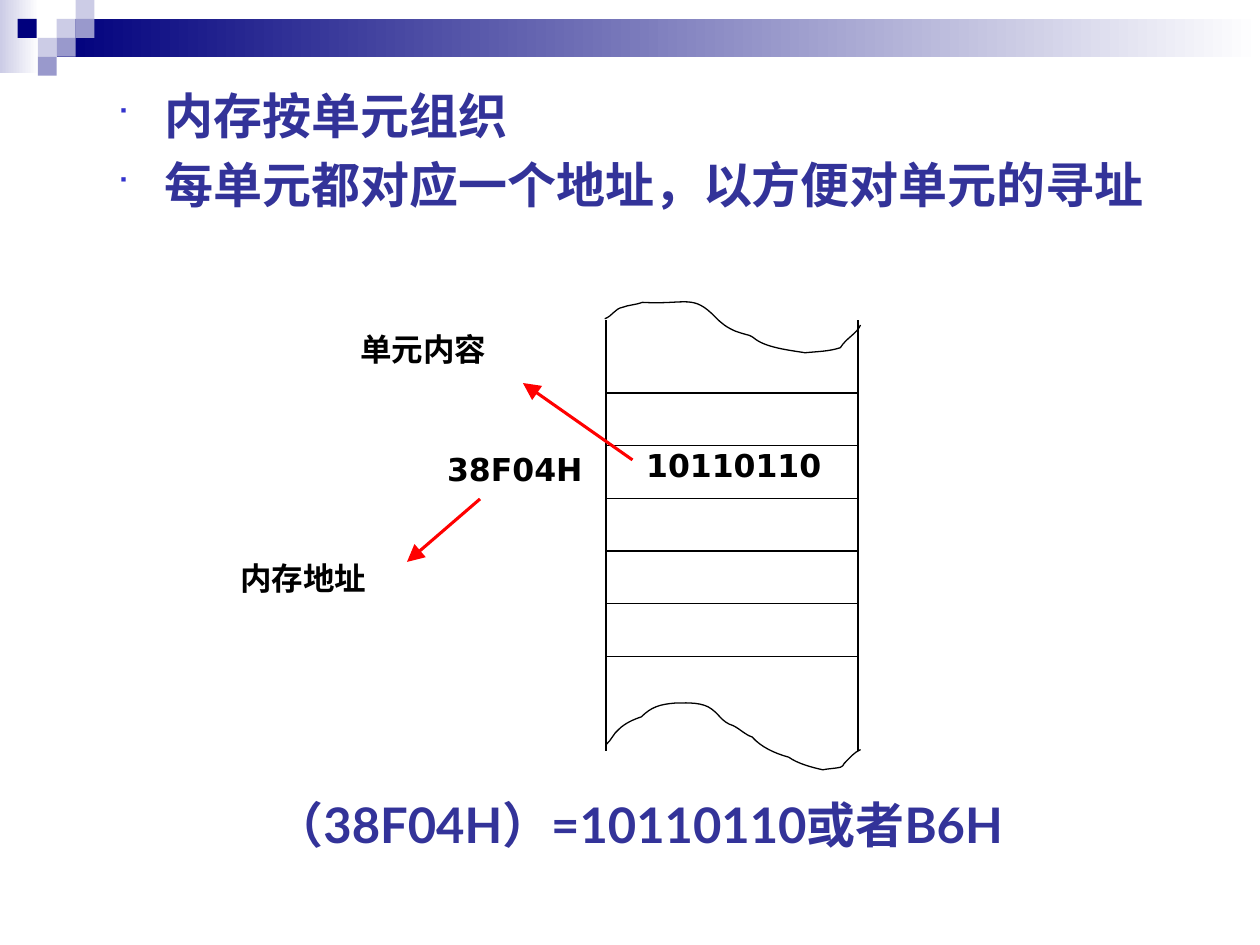
import pptx
import pptx.util
import pptx.dml.color
import pptx.enum.shapes
import pptx.oxml
import pptx.oxml.ns

Inches = pptx.util.Inches
Pt = pptx.util.Pt
COLORS = {
    "navy": "00007D", "lilac": "CCCCE6", "violet": "9999CC", "white": "FFFFFF",
    "title": "333399", "bullet": "3333CC", "ink": "000000", "arrow": "FF0000",
}


def rgb(name):
    return pptx.dml.color.RGBColor.from_string(COLORS[name])


def element(xml):
    return pptx.oxml.parse_xml(xml.replace(" ", " " + pptx.oxml.ns.nsdecls("a") + " ", 1))


class SlideBuilder:
    def __init__(self, page):
        self.page = page
        self.line_width = 0.75

    def rect(self, left, top, width, height, fill=None, gradient=None, line=None):
        box = self.page.shapes.add_shape(
            pptx.enum.shapes.MSO_SHAPE.RECTANGLE,
            Inches(left), Inches(top), Inches(width), Inches(height))
        if gradient:
            box.fill.gradient()
            box.fill.gradient_angle = 0
            for stop, name in zip(box.fill.gradient_stops, gradient):
                stop.color.rgb = rgb(name)
        elif fill:
            box.fill.solid()
            box.fill.fore_color.rgb = rgb(fill)
        else:
            box.fill.background()
        self.outline(box, line)

    def outline(self, box, line):
        box.shadow.inherit = False
        if line:
            box.line.color.rgb = rgb(line)
            box.line.width = Pt(self.line_width)
        else:
            box.line.fill.background()

    def line(self, start, end, color="ink", width=None, arrow=False):
        connector = self.page.shapes.add_connector(
            pptx.enum.shapes.MSO_CONNECTOR.STRAIGHT,
            *(Inches(value) for value in start + end))
        connector.line.color.rgb = rgb(color)
        connector.line.width = Pt(width or self.line_width)
        if arrow:
            connector.line._get_or_add_ln().append(
                element('<a:tailEnd type="triangle" w="lg" len="lg"/>'))
        connector._element.spPr.append(element("<a:effectLst />"))

    def curve(self, start, segments):
        builder = self.page.shapes.build_freeform(Inches(start[0]), Inches(start[1]))
        builder.add_line_segments(
            [(Inches(x), Inches(y)) for *_, x, y in segments], close=False)
        box = builder.convert_to_shape()
        straight = box._element.findall(".//" + pptx.oxml.ns.qn("a:lnTo"))
        for piece, segment in zip(straight, segments):
            points = "".join(
                f'<a:pt x="{Inches(x) - box.left}" y="{Inches(y) - box.top}"/>'
                for x, y in zip(segment[::2], segment[1::2]))
            piece.getparent().replace(
                piece, element(f"<a:cubicBezTo >{points}</a:cubicBezTo>"))
        box.fill.background()
        self.outline(box, "ink")

    def text(self, text, left, top, width, height, size=18, font="DejaVu Sans",
             color="ink", bullet=False, wrap=True):
        box = self.page.shapes.add_textbox(
            Inches(left), Inches(top), Inches(width), Inches(height))
        frame = box.text_frame
        frame.word_wrap = wrap
        for index, words in enumerate(text.split("\n")):
            para = frame.paragraphs[0] if index == 0 else frame.add_paragraph()
            span = para.add_run()
            span.text = words
            span.font.size = Pt(size)
            span.font.name = font
            span.font.bold = True
            span.font.color.rgb = rgb(color)
            if bullet:
                self.bullet(para, size)

    def bullet(self, para, size):
        para.line_spacing = 1.1
        para.space_before = para.space_after = Pt(size * 0.05)
        properties = para._p.get_or_add_pPr()
        properties.set("marL", str(Inches(0.38)))
        properties.set("indent", str(-Inches(0.38)))
        for xml in (
            f'<a:buClr ><a:srgbClr val="{COLORS["bullet"]}"/></a:buClr>',
            '<a:buSzPct val="60000"/>',
            '<a:buFont typeface="Wingdings" pitchFamily="2" charset="2"/>',
            '<a:buChar char="■"/>',
        ):
            properties.append(element(xml))


def main():
    deck = pptx.Presentation()
    deck.slide_width, deck.slide_height = Inches(10), Inches(7.5)
    slide = SlideBuilder(deck.slides.add_slide(deck.slide_layouts[6]))

    slide.rect(0, 0, 0.31, 0.58, gradient=("lilac", "white"))
    slide.rect(0.45, 0.15, 9.55, 0.3, gradient=("navy", "white"))
    tile = 0.15
    for left, top, color in (
        (0.45, 0.15, "lilac"), (0.6, 0, "lilac"), (0.6, 0.15, "violet"),
        (0.3, 0.3, "lilac"), (0.14, 0.15, "navy"), (0.45, 0.3, "violet"),
        (0.3, 0.45, "violet"),
    ):
        slide.rect(left, top, tile, tile, fill=color)

    slide.text("内存按单元组织\n每单元都对应一个地址，以方便对单元的寻址",
               0.83, 0.58, 8.54, 1.26, size=28, font="Lato", color="title", bullet=True)

    memory_left, memory_width, cells = 4.81, 2, 5
    cell_height = (5.21 - 3.12) / cells
    for row in range(cells):
        slide.rect(memory_left, 3.12 + row * cell_height, memory_width, cell_height, line="ink")
    for x in (memory_left, memory_left + memory_width):
        slide.line((x, 2.54), (x, 5.96))

    slide.curve((4.8, 2.53), (
        (4.86, 2.51, 4.88, 2.45, 4.94, 2.44), (4.99, 2.42, 5.05, 2.42, 5.1, 2.4),
        (5.45, 2.42, 5.5, 2.33, 5.68, 2.52), (5.73, 2.57, 5.77, 2.6, 5.84, 2.63),
        (5.87, 2.64, 5.9, 2.65, 5.94, 2.66), (5.95, 2.66, 5.98, 2.68, 5.98, 2.68),
        (6.07, 2.76, 6.27, 2.78, 6.39, 2.8), (6.49, 2.79, 6.58, 2.79, 6.67, 2.76),
        (6.72, 2.68, 6.8, 2.65, 6.83, 2.58),
    ))
    slide.curve((4.81, 5.91), (
        (4.85, 5.88, 4.87, 5.82, 4.91, 5.79), (4.96, 5.74, 5.03, 5.71, 5.09, 5.69),
        (5.17, 5.61, 5.24, 5.59, 5.36, 5.58), (5.42, 5.58, 5.54, 5.57, 5.62, 5.61),
        (5.71, 5.66, 5.72, 5.73, 5.82, 5.76), (5.88, 5.79, 5.91, 5.83, 5.97, 5.85),
        (6.04, 5.93, 6.15, 5.98, 6.26, 6.01), (6.33, 6.06, 6.44, 6.09, 6.53, 6.11),
        (6.58, 6.1, 6.63, 6.1, 6.67, 6.09), (6.69, 6.09, 6.69, 6.07, 6.7, 6.06),
        (6.74, 6.02, 6.78, 5.97, 6.83, 5.95),
    ))

    slide.text("10110110", 5.03, 3.49, 1.72, 0.4)
    slide.text("38F04H", 3.45, 3.52, 1.58, 0.5)
    slide.text("内存地址", 1.81, 4.39, 1.67, 0.5)
    slide.text("单元内容", 2.76, 2.57, 1.67, 0.5)
    for start, end in (((5.02, 3.65), (4.15, 3.04)), ((3.81, 3.96), (3.23, 4.46))):
        slide.line(start, end, color="arrow", width=1.75, arrow=True)
    slide.text("（38F04H）=10110110或者B6H", 2.08, 6.26, 6.45, 0.57,
               size=28, font="Lato", color="title", wrap=False)

    deck.save("out.pptx")


if __name__ == "__main__":
    main()
